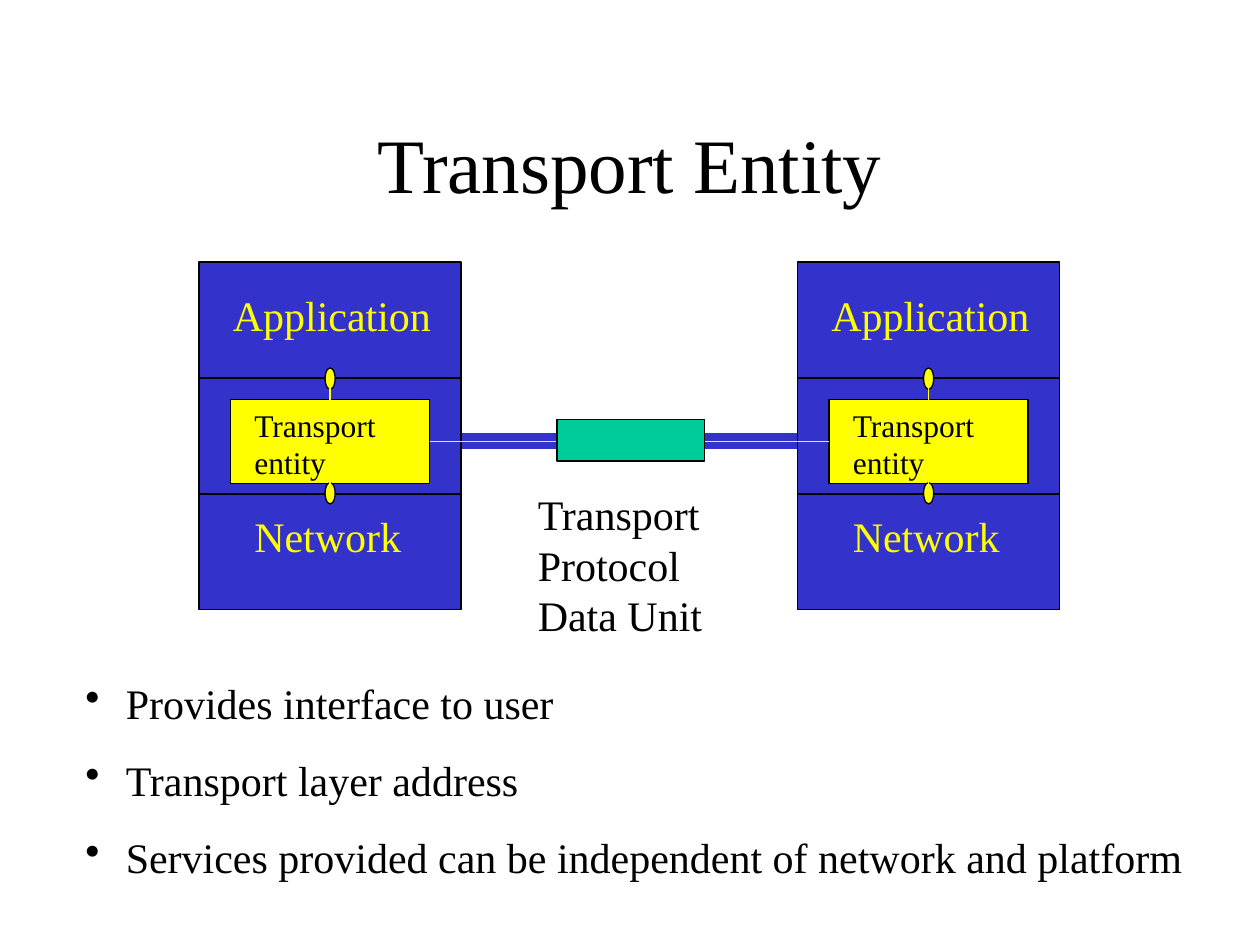
from dataclasses import dataclass
from lxml import etree
from pptx import Presentation
from pptx.dml.color import RGBColor
from pptx.enum.shapes import MSO_CONNECTOR, MSO_SHAPE
from pptx.enum.text import MSO_ANCHOR, PP_ALIGN
from pptx.oxml.ns import qn
from pptx.slide import Slide
from pptx.util import Inches, Pt

BLACK = RGBColor(0x00, 0x00, 0x00)
BLUE = RGBColor(0x33, 0x33, 0xCC)
YELLOW = RGBColor(0xFF, 0xFF, 0x00)
GREEN = RGBColor(0x00, 0xCC, 0x99)
RECTANGLE = MSO_SHAPE.RECTANGLE
OVAL = MSO_SHAPE.OVAL
STRAIGHT = MSO_CONNECTOR.STRAIGHT
CENTER = PP_ALIGN.CENTER
MIDDLE = MSO_ANCHOR.MIDDLE
TOP = MSO_ANCHOR.TOP
LEFT_SIDE, RIGHT_SIDE = 1, 3

STACK_LEFTS = (1.58, 6.33)
STACK_TOP = 2.08
LAYER_WIDTH, LAYER_HEIGHT = 2.08, 0.92
LINK_HEIGHT = 3.5


@dataclass
class Diagram:
    page: Slide
    font_name: str = "Times New Roman"
    outline: float = 0.75

    def format_text(self, para, size, color):
        values = {"name": self.font_name, "size": Pt(size), "bold": False}
        for name, value in values.items():
            setattr(para.font, name, value)
        para.font.color.rgb = color

    def title(self, text, left, top, width, height):
        box = self.page.shapes.title
        places = {"left": left, "top": top, "width": width, "height": height}
        for name, value in places.items():
            setattr(box, name, Inches(value))
        frame = box.text_frame
        frame.text = text
        frame.vertical_anchor = MIDDLE
        para = frame.paragraphs[0]
        para.alignment = CENTER
        self.format_text(para, 44, BLACK)

    def shape(self, kind, left, top, width, height, color):
        shape = self.page.shapes.add_shape(
            kind, Inches(left), Inches(top), Inches(width), Inches(height))
        shape.shadow.inherit = False
        shape.fill.solid()
        shape.fill.fore_color.rgb = color
        shape.line.color.rgb = BLACK
        shape.line.width = Pt(self.outline)
        return shape

    def line(self, start, end, color, width):
        points = [Inches(value) for value in (*start, *end)]
        line = self.page.shapes.add_connector(STRAIGHT, *points)
        line.line.color.rgb = color
        line.line.width = Pt(width)
        etree.SubElement(line._element.spPr, qn("a:effectLst"))
        return line

    def text(self, lines, left, top, width, height, size=24, color=BLACK, indent=0):
        box = self.page.shapes.add_textbox(
            Inches(left), Inches(top), Inches(width), Inches(height))
        frame = box.text_frame
        frame.word_wrap = True
        frame.vertical_anchor = TOP
        for index, words in enumerate(lines):
            para = frame.paragraphs[0] if index == 0 else frame.add_paragraph()
            para.text = words
            if indent:
                self.bullet(para, indent)
            if index:
                para.space_before = Pt(15)
            self.format_text(para, size, color)

    def bullet(self, para, indent):
        properties = para._p.get_or_add_pPr()
        properties.set("marL", str(Inches(indent)))
        properties.set("indent", str(-Inches(indent)))
        etree.SubElement(properties, qn("a:buChar")).set("char", "•")

    def stack(self, left):
        for level in range(3):
            self.shape(RECTANGLE, left, STACK_TOP + level * LAYER_HEIGHT,
                       LAYER_WIDTH, LAYER_HEIGHT, BLUE)
        self.text(["Application"], left + 0.17, 2.25, 1.83, 0.5, color=YELLOW)
        entity = self.shape(RECTANGLE, left + 0.25, 3.17, 1.58, 0.67, YELLOW)
        for top in (2.92, 3.83):
            self.shape(OVAL, left + 1, top, 0.08, 0.17, YELLOW)
        middle = left + LAYER_WIDTH / 2
        self.line((middle, 3.92), (middle, 3), YELLOW, self.outline)
        self.text(["Transport entity"], left + 0.34, 3.17, 1.58, 0.7, size=18)
        self.text(["Network"], left + 0.34, 4, 1.5, 0.5, color=YELLOW)
        return entity


def main():
    deck = Presentation()
    deck.slide_width, deck.slide_height = Inches(10), Inches(7.5)
    diagram = Diagram(deck.slides.add_slide(deck.slide_layouts[5]))

    diagram.title("Transport Entity", 0.75, 0.67, 8.5, 1.25)
    diagram.line((STACK_LEFTS[0] + LAYER_WIDTH, LINK_HEIGHT),
                 (STACK_LEFTS[1], LINK_HEIGHT), BLUE, 9)
    sender, receiver = [diagram.stack(left) for left in STACK_LEFTS]

    link = diagram.line((3.42, LINK_HEIGHT), (6.58, LINK_HEIGHT), YELLOW, 0.75)
    link.begin_connect(sender, RIGHT_SIDE)
    link.end_connect(receiver, LEFT_SIDE)
    diagram.shape(RECTANGLE, 4.42, 3.33, 1.17, 0.33, GREEN)
    diagram.text(["Transport Protocol Data Unit"], 4.17, 3.83, 1.83, 1.3)

    services = [
        "Provides interface to user",
        "Transport layer address",
        "Services provided can be independent of network and platform",
    ]
    diagram.text(services, 0.58, 5.33, 9, 1.72, indent=0.32)
    deck.save("out.pptx")


if __name__ == "__main__":
    main()
